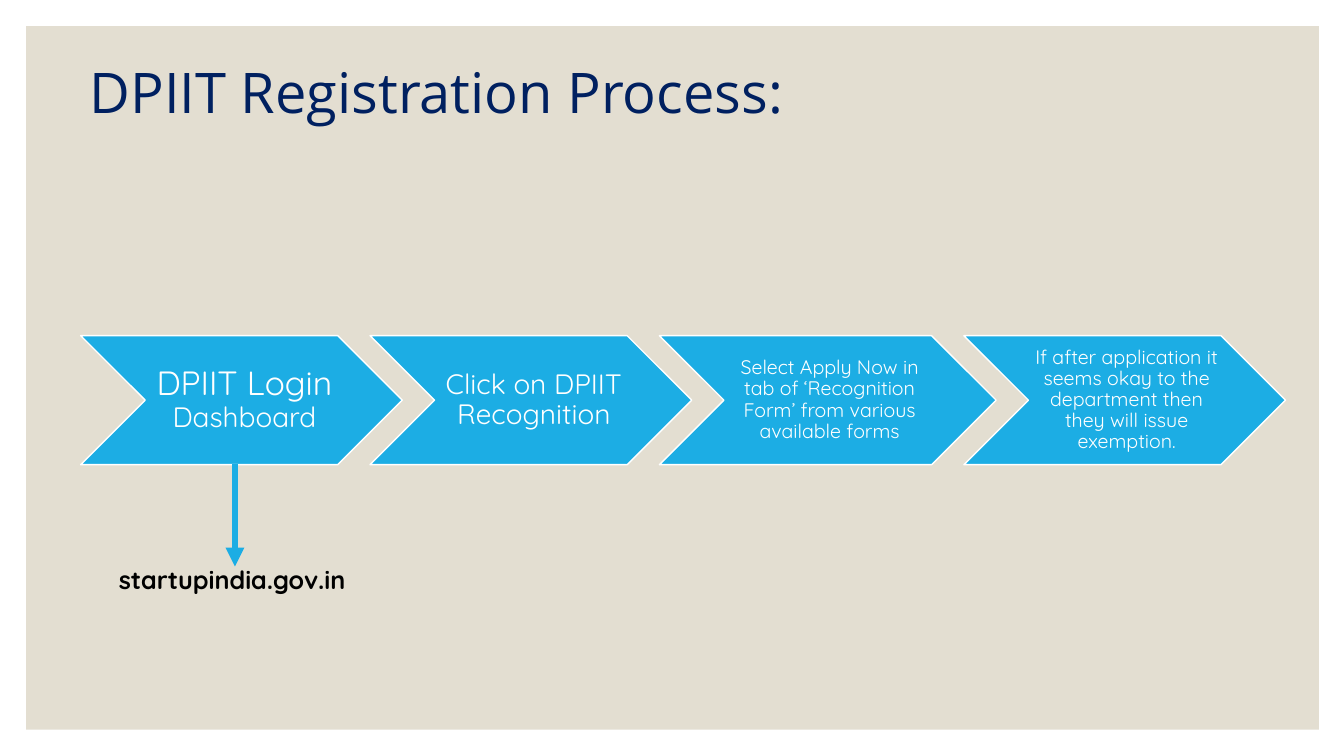
from lxml import etree
from pptx import Presentation
from pptx.dml.color import RGBColor
from pptx.enum.shapes import MSO_CONNECTOR, MSO_SHAPE
from pptx.enum.text import MSO_ANCHOR, MSO_AUTO_SIZE, PP_ALIGN
from pptx.oxml.ns import qn
from pptx.util import Inches, Pt

TITLE = "DPIIT Registration Process:"
SITE = "startupindia.gov.in"
# Each step: width, left inset, other insets, runs of (text, size)
STEPS = [
    (3.19, 0.1, 0.04, [("DPIIT Login ", 24), ("Dashboard", 20)]),
    (3.19, 0.09, 0.03, [("Click on DPIIT Recognition", 20)]),
    (3.34, 0.06, 0.02, [("Select Apply Now in tab of ‘Recognition Form’ "
                         "from various available forms", 14)]),
    (3.19, 0.06, 0.02, [("If after application it seems okay to the "
                         "department then they will issue exemption.", 14)]),
]

WHITE = RGBColor(0xFF, 0xFF, 0xFF)
BLACK = RGBColor(0x00, 0x00, 0x00)
SAND = RGBColor(0xE3, 0xDE, 0xD1)
BLUE = RGBColor(0x1C, 0xAD, 0xE4)
NAVY = RGBColor(0x00, 0x20, 0x60)

LEFT, TOP, HIGH, LAP = 0.8, 3.33, 1.28, 0.32


def write(shape, runs, font="Quicksand", color=WHITE, bold=False,
          align=PP_ALIGN.LEFT, anchor=MSO_ANCHOR.TOP, space=1.0,
          insets=(0.1, 0.05, 0.1, 0.05)):
    frame = shape.text_frame
    frame.word_wrap = True
    frame.auto_size = MSO_AUTO_SIZE.NONE
    frame.vertical_anchor = anchor
    (frame.margin_left, frame.margin_top,
     frame.margin_right, frame.margin_bottom) = map(Inches, insets)
    para = frame.paragraphs[0]
    para.alignment, para.line_spacing = align, space
    for text, size in runs:
        run = para.add_run()
        run.text = text
        run.font.name, run.font.size, run.font.bold = font, Pt(size), bold
        run.font.color.rgb = color


def block(shapes, kind, fill, *box):
    shape = shapes.add_shape(kind, *map(Inches, box))
    shape.shadow.inherit = False
    shape.fill.solid()
    shape.fill.fore_color.rgb = fill
    return shape


def main():
    deck = Presentation()
    deck.slide_width, deck.slide_height = Inches(13.33), Inches(7.5)
    slide = deck.slides.add_slide(deck.slide_layouts[5])
    shapes = slide.shapes

    # Sand panel, behind the title
    panel = block(shapes, MSO_SHAPE.RECTANGLE, SAND, 0.26, 0.26, 12.82, 6.98)
    panel.line.fill.background()
    title = shapes.title
    title.element.addprevious(panel.element)

    # Title
    title.left, title.top = Inches(0.79), Inches(0.52)
    title.width, title.height = Inches(12.06), Inches(0.77)
    write(title, [(TITLE, 40)], font="Open Sans", color=NAVY,
          anchor=MSO_ANCHOR.MIDDLE)

    # Chain of steps
    left = LEFT
    for wide, lead, pad, runs in STEPS:
        step = block(shapes, MSO_SHAPE.CHEVRON, BLUE, left, TOP, wide, HIGH)
        step.line.color.rgb, step.line.width = WHITE, Pt(1)
        write(step, runs, align=PP_ALIGN.CENTER, anchor=MSO_ANCHOR.MIDDLE,
              space=0.9, insets=(lead, pad, pad, pad))
        left += wide - LAP

    # Arrow down to the site
    arrow = shapes.add_connector(MSO_CONNECTOR.STRAIGHT, Inches(2.33),
                                 Inches(4.6), Inches(2.33), Inches(5.62))
    arrow.line.color.rgb, arrow.line.width = BLUE, Pt(4.5)
    etree.SubElement(arrow.line._get_or_add_ln(), qn("a:tailEnd"),
                     type="triangle")
    etree.SubElement(arrow.element.spPr, qn("a:effectLst"))

    # Site address
    site = shapes.add_textbox(Inches(1.08), Inches(5.55),
                              Inches(2.48), Inches(0.4))
    write(site, [(SITE, 18)], color=BLACK, bold=True)

    deck.save("out.pptx")


if __name__ == "__main__":
    main()
